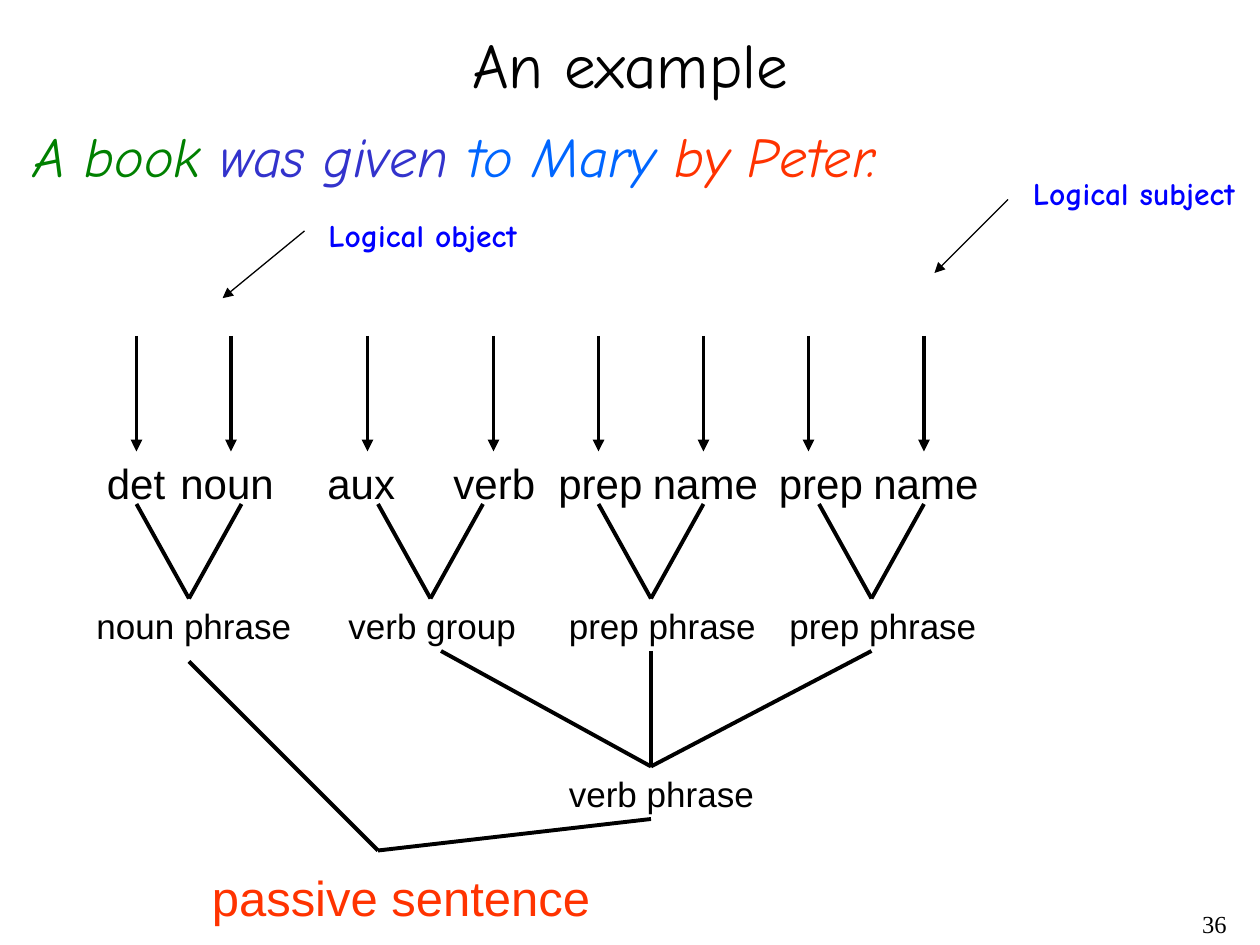
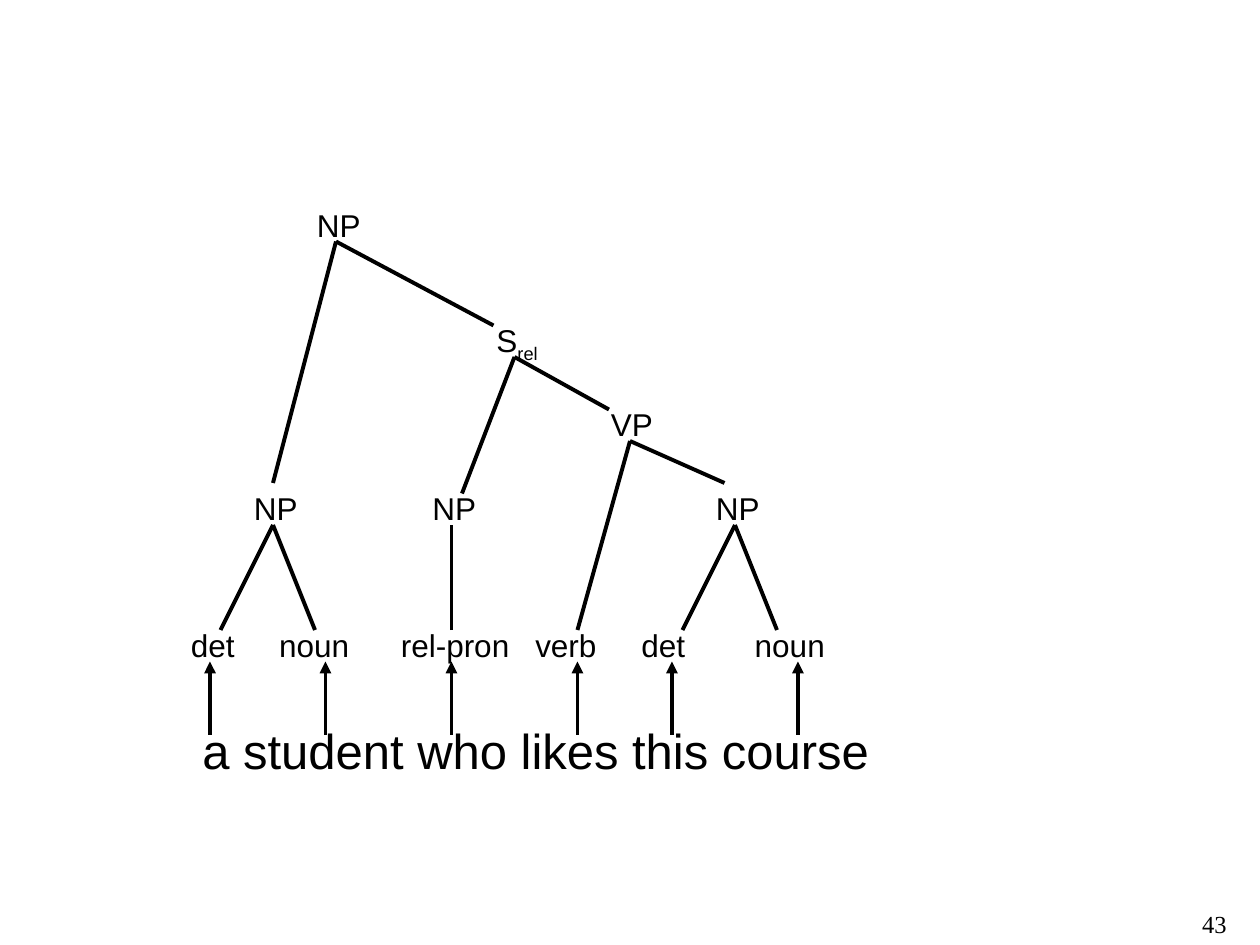
from dataclasses import dataclass
from typing import Optional

import pptx
import pptx.dml.color
import pptx.enum.shapes
import pptx.enum.text
import pptx.oxml.ns
import pptx.presentation
import pptx.slide
import pptx.text.text
import pptx.util
from lxml import etree

COLORS = {
    "ink": "000000",
    "paper": "FFFFFF",
    "noun phrase": "008000",
    "verb group": "3333CC",
    "recipient": "0066FF",
    "agent": "FF3300",
    "logical role": "0000FF",
}
SANS, COMIC, SERIF = "Arial", "Comic Neue", "Times New Roman"
COLUMNS, ROWS = 120, 90
WIDTH, HEIGHT = pptx.util.Inches(10), pptx.util.Inches(7.5)
ALIGN = pptx.enum.text.PP_ALIGN
ANCHOR = pptx.enum.text.MSO_ANCHOR
Point = tuple[float, float]


@dataclass(frozen=True)
class Piece:
    text: str
    color: str = "ink"
    subscript: bool = False


@dataclass(frozen=True)
class Label:
    pieces: tuple[Piece, ...]
    column: float
    row: float
    width: float
    size: float
    height: Optional[float] = None
    font: str = SANS
    bold: bool = False
    italic: bool = False
    wrap: bool = False
    align: ALIGN = ALIGN.LEFT
    anchor: ANCHOR = ANCHOR.TOP
    space_before: float = 0
    tab_columns: tuple[float, ...] = ()
    backing: Optional[str] = None


@dataclass(frozen=True)
class Branch:
    joint: Point
    tips: tuple[Point, ...]


def across(columns: float) -> int:
    return round(WIDTH * columns / COLUMNS)


def down(rows: float) -> int:
    return round(HEIGHT * rows / ROWS)


def rgb(name: str) -> pptx.dml.color.RGBColor:
    return pptx.dml.color.RGBColor.from_string(COLORS[name])


def word(text: str, column: float, row: float, width: float, size: float) -> Label:
    return Label((Piece(text),), column, row, width, size)


def role(text: str, column: float, row: float, width: float) -> Label:
    return Label((Piece(text, "logical role"),), column, row, width, 18,
                 font=COMIC, bold=True)


def set_tab_stops(paragraph: pptx.text.text._Paragraph, columns: tuple[float, ...]) -> None:
    tab_list = etree.SubElement(paragraph._p.get_or_add_pPr(), pptx.oxml.ns.qn("a:tabLst"))
    for column in columns:
        etree.SubElement(tab_list, pptx.oxml.ns.qn("a:tab"),
                         pos=str(across(column)), algn="l")


def draw_label(slide: pptx.slide.Slide, label: Label) -> None:
    line_height = pptx.util.Inches(label.size * 1.2 / 72 + 0.1)
    height = down(label.height) if label.height else line_height
    place = (across(label.column), down(label.row), across(label.width), height)
    if label.backing:
        holder = slide.shapes.add_shape(pptx.enum.shapes.MSO_SHAPE.RECTANGLE, *place)
        holder.shadow.inherit = False
        holder.fill.solid()
        holder.fill.fore_color.rgb = rgb(label.backing)
        holder.line.fill.background()
    else:
        holder = slide.shapes.add_textbox(*place)
    frame = holder.text_frame
    frame.word_wrap = label.wrap
    frame.vertical_anchor = label.anchor
    if not label.height:
        frame.auto_size = pptx.enum.text.MSO_AUTO_SIZE.SHAPE_TO_FIT_TEXT
    paragraph = frame.paragraphs[0]
    paragraph.alignment = label.align
    if label.space_before:
        paragraph.space_before = pptx.util.Pt(label.space_before)
    if label.tab_columns:
        set_tab_stops(paragraph, label.tab_columns)
    for piece in label.pieces:
        run = paragraph.add_run()
        run.text = piece.text
        run.font.name = label.font
        run.font.size = pptx.util.Pt(label.size)
        run.font.bold = label.bold
        run.font.italic = label.italic
        run.font.color.rgb = rgb(piece.color)
        if piece.subscript:
            run.font._element.set("baseline", "-25000")


def draw_line(slide: pptx.slide.Slide, start: Point, end: Point,
              weight: float = 2.25, arrow: bool = False) -> None:
    line = slide.shapes.add_connector(
        pptx.enum.shapes.MSO_CONNECTOR.STRAIGHT,
        across(start[0]), down(start[1]), across(end[0]), down(end[1]))
    line.line.color.rgb = rgb("ink")
    line.line.width = pptx.util.Pt(weight)
    if arrow:
        etree.SubElement(line.line._get_or_add_ln(), pptx.oxml.ns.qn("a:tailEnd"),
                         type="triangle")
    etree.SubElement(line._element.spPr, pptx.oxml.ns.qn("a:effectLst"))


def draw_word_arrows(slide: pptx.slide.Slide, columns: tuple[float, ...],
                     start_row: float, end_row: float) -> None:
    for column in columns:
        draw_line(slide, (column, start_row), (column, end_row), arrow=True)


def draw_tree(slide: pptx.slide.Slide, branches: tuple[Branch, ...],
              labels: tuple[Label, ...]) -> None:
    for branch in branches:
        for tip in branch.tips:
            draw_line(slide, tip, branch.joint)
    for label in labels:
        draw_label(slide, label)


def add_numbered_slide(deck: pptx.presentation.Presentation, number: int) -> pptx.slide.Slide:
    slide = deck.slides.add_slide(deck.slide_layouts[6])
    slide.background.fill.solid()
    slide.background.fill.fore_color.rgb = rgb("paper")
    draw_label(slide, Label((Piece(str(number)),), 93, 86, 25, 14, height=4,
                            font=SERIF, wrap=True, align=ALIGN.RIGHT))
    return slide


def build_passive_example(deck: pptx.presentation.Presentation) -> None:
    slide = add_numbered_slide(deck, 36)
    draw_label(slide, Label((Piece("An example"),), 2, 2, 116, 36, height=8, font=COMIC,
                            wrap=True, align=ALIGN.CENTER, anchor=ANCHOR.MIDDLE))
    sentence = (Piece("A book", "noun phrase"), Piece(" was given ", "verb group"),
                Piece("to Mary ", "recipient"), Piece("by Peter.", "agent"))
    draw_label(slide, Label(sentence, 2, 11, 116, 32, height=72, font=COMIC,
                            italic=True, wrap=True, space_before=8))
    draw_word_arrows(slide, (13, 22, 35, 47, 57, 67, 77, 88), 32, 43)

    pairs = tuple(Branch((joint, 57), ((joint - 5, 48), (joint + 5, 48)))
                  for joint in (18, 41, 62, 83))
    upper = (Branch((62, 73), ((42, 62), (62, 62), (83, 62))),
             Branch((36, 81), ((18, 63), (62, 78))))
    parts_of_speech = (("det", 9, 8.2), ("noun", 16, 11.6), ("aux", 30, 9.2),
                       ("verb", 42, 10.5), ("prep", 52, 10.7), ("name", 61, 12.7),
                       ("prep", 73, 10.7), ("name", 82, 12.7))
    phrases = (("noun phrase", 8, 57, 21.2), ("verb group", 32, 57, 18.6),
               ("prep phrase", 53, 57, 20.4), ("prep phrase", 74, 57, 20.4),
               ("verb phrase", 53, 73, 20.2))
    labels = tuple(word(text, column, 43, width, 24)
                   for text, column, width in parts_of_speech)
    labels += tuple(word(*phrase, 20) for phrase in phrases)
    labels += (Label((Piece("passive sentence", "agent"),), 19, 82, 48, 28,
                     wrap=True, backing="paper"),
               role("Logical subject", 97.2, 16, 21.8),
               role("Logical object", 30.1, 20, 20.8))
    draw_tree(slide, pairs + upper, labels)
    draw_line(slide, (96, 19), (89, 26), 0.75, arrow=True)
    draw_line(slide, (29, 22), (21.2, 28.4), 0.75, arrow=True)


def build_relative_clause(deck: pptx.presentation.Presentation) -> None:
    slide = add_numbered_slide(deck, 43)
    draw_label(slide, word("a student who likes this course", 18.1, 68, 66.2, 28))
    draw_word_arrows(slide, (20, 31, 43, 55, 64, 76), 70, 63)

    branches = (
        Branch((26, 50), ((21, 60), (30, 60))),
        Branch((70, 50), ((65, 60), (74, 60))),
        Branch((43, 50), ((43, 60),)),
        Branch((60, 42), ((55, 60), (69, 46))),
        Branch((49, 34), ((44, 47), (58, 39))),
        Branch((32, 23), ((26, 46), (47, 31))),
    )
    nodes = (("NP", 29, 19), ("VP", 57, 38), ("NP", 23, 46), ("NP", 40, 46),
             ("NP", 67, 46))
    labels = tuple(word(*node, 6.8, 18) for node in nodes)
    labels += (
        Label((Piece("S"), Piece("rel", subscript=True)), 46.1, 30, 6.6, 18),
        Label((Piece("det\tnoun\trel-pron\tverb\tdet\tnoun"),), 17, 59, 66, 18,
              wrap=True, tab_columns=(8.4, 20, 32.8, 42.9, 53.7)),
    )
    draw_tree(slide, branches, labels)


def main() -> None:
    deck = pptx.Presentation()
    deck.slide_width, deck.slide_height = WIDTH, HEIGHT
    build_passive_example(deck)
    build_relative_clause(deck)
    deck.save("out.pptx")


if __name__ == "__main__":
    main()
